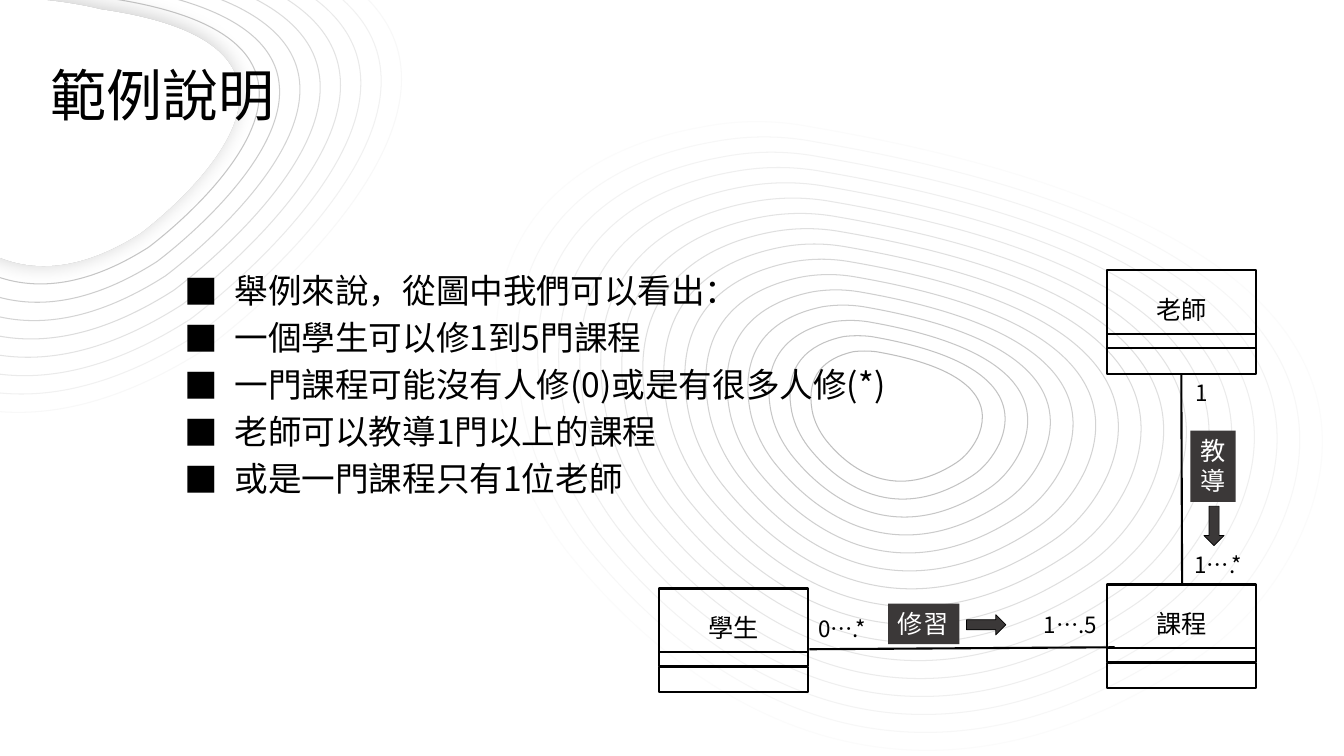
from lxml.etree import SubElement
from pptx import Presentation
from pptx.dml.color import RGBColor
from pptx.enum.shapes import MSO_CONNECTOR, MSO_SHAPE
from pptx.enum.text import MSO_ANCHOR, PP_ALIGN
from pptx.oxml.ns import qn
from pptx.util import Cm, Pt

FONT = "Noto Sans CJK SC"
COLORS = {"ink": "000000", "paper": "FFFFFF", "dark": "3B3838"}
TITLE = "範例說明"
BULLETS = [
    "舉例來說，從圖中我們可以看出：",
    "一個學生可以修1到5門課程",
    "一門課程可能沒有人修(0)或是有很多人修(*)",
    "老師可以教導1門以上的課程",
    "或是一門課程只有1位老師",
]
CLASSES = [("學生", 16.61, 14.83), ("課程", 27.89, 14.73), ("老師", 27.89, 6.81)]
LINKS = [(20.4, 16.36, 28.09, 16.31), (29.77, 9.45, 29.79, 14.71)]
VERBS = [("修習", 22.38, 15.21, 1.8, 1.02), ("教\n導", 30, 10.85, 1.14, 1.8)]
ARROWS = [(24.36, 15.49, 0), (30.1, 13, 90)]
COUNTS = [
    ("1", 29.87, 9.42, 0.84),
    ("1….*", 29.85, 13.77, 1.78),
    ("0….*", 20.37, 15.37, 1.78),
    ("1….5", 26.06, 15.27, 1.88),
]
CORNER = {
    "steps": 8, "shades": (248, 191),
    "outer": [(3.3, -2.24), (3.3, -2.24), (-9.14, -5.44), (-6.78, 3.68), (-6.78, 3.68),
              (-3.53, 14.38), (5.23, 8.76), (5.23, 8.76), (17.42, -0.25), (3.3, -2.24)],
    "inner": [(2.54, 0.25), (2.54, 0.25), (-3.81, -1.4), (-2.62, 3.28), (-2.62, 3.28),
              (-0.94, 8.71), (3.53, 5.87), (3.53, 5.87), (9.75, 1.27), (2.54, 0.25)],
}
CENTER = {
    "steps": 15, "shades": (191, 251),
    "outer": [(21.51, 8.86), (21.03, 8.97), (20.27, 9.27), (20.47, 10.36), (20.52, 10.62),
              (20.65, 10.87), (20.8, 11.07), (21.26, 11.66), (22.43, 12.75), (24.1, 11.66),
              (24.33, 11.51), (24.51, 11.28), (24.64, 11.02), (24.92, 10.39), (24.92, 9.35),
              (22.07, 8.86), (21.89, 8.84), (21.69, 8.84), (21.51, 8.86)],
    "inner": [(17.7, 3.2), (15.37, 3.61), (11.63, 5.11), (12.67, 10.41), (12.93, 11.66),
              (13.49, 12.85), (14.27, 13.87), (16.51, 16.69), (22.12, 21.95), (30.12, 16.61),
              (31.27, 15.85), (32.18, 14.78), (32.77, 13.51), (34.11, 10.57), (34.06, 5.54),
              (20.45, 3.2), (19.53, 3.02), (18.62, 3.02), (17.7, 3.2)],
}


def rgb(name):
    return RGBColor.from_string(COLORS.get(name, name))


def style(sp, fill=None, line=None, width=1.5):
    sp.shadow.inherit = False
    if fill:
        sp.fill.solid()
        sp.fill.fore_color.rgb = rgb(fill)
    else:
        sp.fill.background()
    if line:
        sp.line.color.rgb = rgb(line)
        sp.line.width = Pt(width)
    else:
        sp.line.fill.background()


def write(sp, text, size, color="ink", wrap=False, align=PP_ALIGN.LEFT, anchor=MSO_ANCHOR.TOP):
    tf = sp.text_frame
    tf.text = text
    tf.word_wrap = wrap
    tf.vertical_anchor = anchor
    for p in tf.paragraphs:
        p.alignment = align
        for r in p.runs:
            r.font.size = Pt(size)
            r.font.name = FONT
            r.font.color.rgb = rgb(color)
            SubElement(r.font._element, qn("a:ea"), typeface=FONT)
    return tf


def box(x, y, w, h, fill=None, line=None, width=1.5, kind=MSO_SHAPE.RECTANGLE):
    sp = s.shapes.add_shape(kind, Cm(x), Cm(y), Cm(w), Cm(h))
    style(sp, fill, line, width)
    return sp


def label(x, y, w, h, text, size, **options):
    return write(s.shapes.add_textbox(Cm(x), Cm(y), Cm(w), Cm(h)), text, size, **options)


def connect(x1, y1, x2, y2):
    cn = s.shapes.add_connector(MSO_CONNECTOR.STRAIGHT, Cm(x1), Cm(y1), Cm(x2), Cm(y2))
    cn.line.color.rgb = rgb("ink")
    cn.line.width = Pt(1.5)
    SubElement(cn._element.spPr, qn("a:effectLst"))


def extent(values, samples=24):
    reached = []
    for i in range(0, len(values) - 1, 3):
        a, b, c, d = values[i:i + 4]
        for n in range(samples + 1):
            t = n / samples
            u = 1 - t
            reached.append(u ** 3 * a + 3 * t * u * u * b + 3 * t * t * u * c + t ** 3 * d)
    return min(reached), max(reached)


def contour(curve, line, fill=None):
    points = [(Cm(x), Cm(y)) for x, y in curve]
    builder = s.shapes.build_freeform(*points[0])
    builder.add_line_segments(points[3::3], close=True)
    sp = builder.convert_to_shape()
    (left, right), (top, bottom) = (extent(axis) for axis in zip(*points))
    sp.left, sp.top = int(left), int(top)
    sp.width, sp.height = int(right - left), int(bottom - top)
    outline = next(sp._element.iter(qn("a:path")))
    outline.set("w", str(sp.width))
    outline.set("h", str(sp.height))
    for node in list(outline):
        outline.remove(node)
    strokes = [("a:moveTo", points[:1])]
    strokes += [("a:cubicBezTo", points[i:i + 3]) for i in range(1, len(points), 3)]
    for tag, stops in strokes + [("a:close", [])]:
        node = SubElement(outline, qn(tag))
        for x, y in stops:
            SubElement(node, qn("a:pt"), x=str(x - sp.left), y=str(y - sp.top))
    style(sp, fill, line, 0.75)
    return sp


def mix(a, b, t):
    return a + (b - a) * t


def rings(field):
    for i in range(field["steps"] + 1):
        t = i / field["steps"]
        curve = [(mix(a[0], b[0], t), mix(a[1], b[1], t))
                 for a, b in zip(field["outer"], field["inner"])]
        contour(curve, f"{round(mix(*field['shades'], t)):02X}" * 3)


def soft_shadow(sp):
    effects = sp._element.spPr.find(qn("a:effectLst"))
    shadow = SubElement(effects, qn("a:outerShdw"), blurRad=str(Pt(15)), dist=str(Pt(3)),
                        dir="13500000", algn="ctr", rotWithShape="0")
    color = SubElement(shadow, qn("a:srgbClr"), val=COLORS["ink"])
    SubElement(color, qn("a:alpha"), val="20000")


prs = Presentation()
prs.slide_width, prs.slide_height = Cm(33.87), Cm(19.05)
s = prs.slides.add_slide(prs.slide_layouts[6])

rings(CORNER)
soft_shadow(contour(CORNER["inner"], "paper", "paper"))
label(1.02, 1.4, 6.22, 1.96, TITLE, 40)
rings(CENTER)

tf = label(4.39, 6.68, 18.69, 6.43, "\n".join(BULLETS), 24, wrap=True)
for i, p in enumerate(tf.paragraphs):
    pPr = p._p.get_or_add_pPr()
    pPr.set("marL", str(Cm(1.27)))
    pPr.set("indent", str(-Cm(1.27)))
    if i:
        p.space_before = Pt(4.8)
    SubElement(pPr, qn("a:buFont"), typeface=FONT)
    SubElement(pPr, qn("a:buChar"), char="■")

for name, x, y in CLASSES:
    write(box(x, y, 3.76, 1.96, line="ink"), name, 18,
          align=PP_ALIGN.CENTER, anchor=MSO_ANCHOR.MIDDLE)
    box(x, y + 1.97, 3.76, 0.64, line="ink")
    connect(x, y + 1.6, x + 3.78, y + 1.6)
for ends in LINKS:
    connect(*ends)
for verb, *place in VERBS:
    write(box(*place, fill="dark"), verb, 18, color="paper")
for x, y, turn in ARROWS:
    box(x, y, 0.99, 0.51, "dark", "ink", 0.5, MSO_SHAPE.RIGHT_ARROW).rotation = turn
for count, x, y, w in COUNTS:
    label(x, y, w, 0.94, count, 16)

prs.save("out.pptx")
